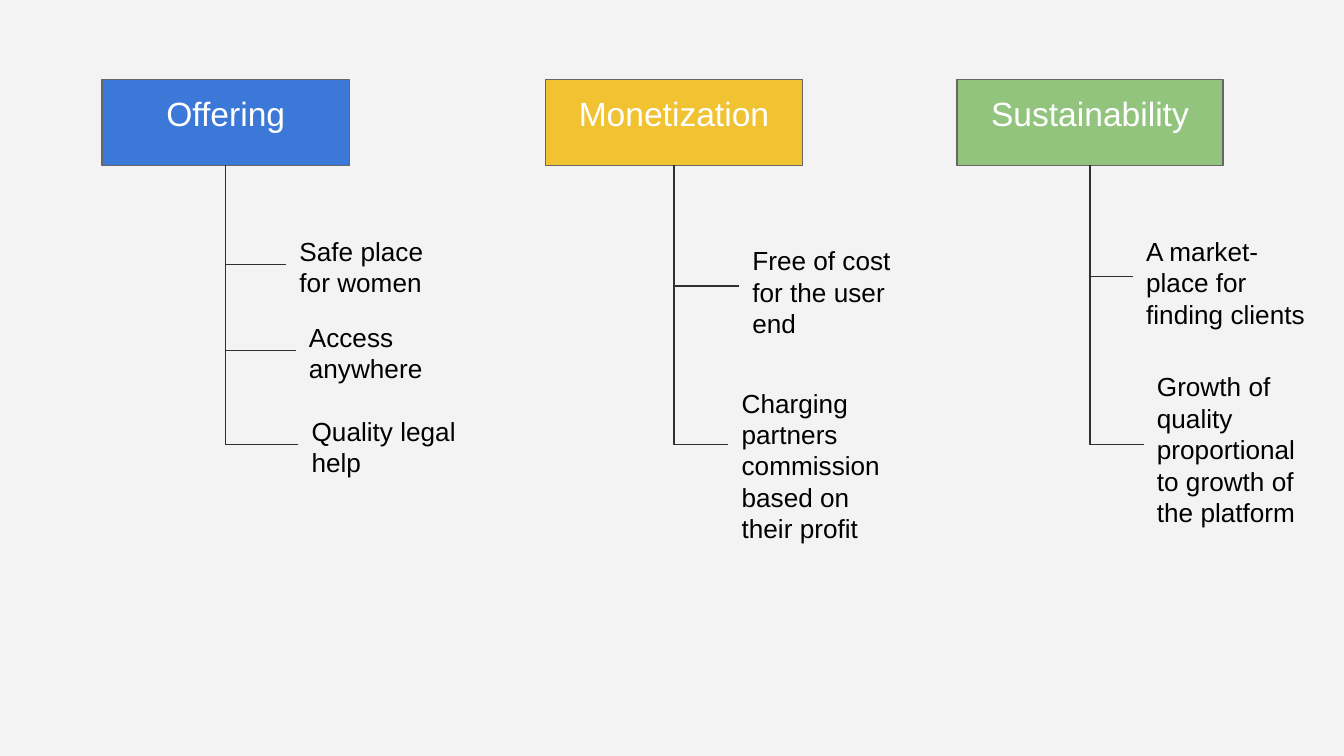
from lxml import etree
from pptx import Presentation
from pptx import util as u
from pptx.dml.color import RGBColor
from pptx.enum import shapes, text
from pptx.oxml.ns import qn

BACKGROUND = RGBColor(0xF3, 0xF3, 0xF3)
BLUE = RGBColor(0x3C, 0x78, 0xD8)
YELLOW = RGBColor(0xF1, 0xC2, 0x32)
GREEN = RGBColor(0x93, 0xC4, 0x7D)
BORDER = RGBColor(0x66, 0x66, 0x66)
BRANCH = RGBColor(0x30, 0x30, 0x30)
WHITE = RGBColor(0xFF, 0xFF, 0xFF)
BLACK = RGBColor(0x00, 0x00, 0x00)

SLIDE_WIDTH = 10
SLIDE_HEIGHT = SLIDE_WIDTH * 9 / 16
HEADER_TOP, HEADER_HEIGHT = 0.59, 0.64
ROW_CENTRES = {"first": 1.97, "tall first": 2.06, "late first": 2.13,
               "second": 2.61, "last": 3.31}

# Header: title, colour, left, width. Items: text, row, left, width, height.
COLUMNS = [
    (("Offering", BLUE, 0.76, 1.84), [
        ("Safe place for women", "first", 2.13, 1.28, 0.64),
        ("Access anywhere", "second", 2.2, 1.43, 0.64),
        ("Quality legal help", "last", 2.22, 1.28, 0.64),
    ]),
    (("Monetization", YELLOW, 4.06, 1.91), [
        ("Free of cost for the user end", "late first", 5.5, 1.43, 0.82),
        ("Charging partners commission based on their profit",
         "last", 5.42, 1.43, 1.06),
    ]),
    (("Sustainability", GREEN, 7.12, 1.98), [
        ("A market- place for finding clients", "tall first", 8.43, 1.43, 0.82),
        ("Growth of quality proportional to growth of the platform",
         "last", 8.51, 1.24, 1.3),
    ]),
]


def write(shape, words, size, colour, alignment):
    frame = shape.text_frame
    frame.word_wrap = True
    frame.vertical_anchor = text.MSO_ANCHOR.TOP
    frame.margin_left = frame.margin_right = u.Inches(0.1)
    frame.margin_top = frame.margin_bottom = u.Inches(0.1)
    paragraph = frame.paragraphs[0]
    paragraph.alignment = alignment
    run = paragraph.add_run()
    run.text = words
    run.font.name = "Arial"
    run.font.size = u.Pt(size)
    run.font.color.rgb = colour


def add_header(slide, title, colour, left, width):
    box = [u.Inches(n) for n in (left, HEADER_TOP, width, HEADER_HEIGHT)]
    header = slide.shapes.add_shape(shapes.MSO_SHAPE.RECTANGLE, *box)
    header.shadow.inherit = False
    header.fill.solid()
    header.fill.fore_color.rgb = colour
    header.line.color.rgb = BORDER
    header.line.width = u.Pt(0.75)
    write(header, title, 18, WHITE, text.PP_ALIGN.CENTER)
    return header


def add_item(slide, words, row, left, width, height):
    top = ROW_CENTRES[row] - height / 2
    box = [u.Inches(n) for n in (left, top, width, height)]
    item = slide.shapes.add_textbox(*box)
    write(item, words, 14, BLACK, text.PP_ALIGN.LEFT)
    return item


def add_branch(slide, item, header):
    """Join an item's left side to the header's bottom with a single bend."""
    branch = slide.shapes.add_connector(shapes.MSO_CONNECTOR.ELBOW, 0, 0, 0, 0)
    branch.begin_connect(item, 1)
    branch.end_connect(header, 2)
    branch.line.color.rgb = BRANCH
    branch.line.width = u.Pt(0.75)
    properties = branch._element.spPr
    properties.find(qn("a:prstGeom")).set("prst", "bentConnector2")
    etree.SubElement(properties, qn("a:effectLst"))


def main():
    presentation = Presentation()
    presentation.slide_width = u.Inches(SLIDE_WIDTH)
    presentation.slide_height = u.Inches(SLIDE_HEIGHT)
    slide = presentation.slides.add_slide(presentation.slide_layouts[6])
    slide.background.fill.solid()
    slide.background.fill.fore_color.rgb = BACKGROUND
    for heading, items in COLUMNS:
        header = add_header(slide, *heading)
        for entry in items:
            add_branch(slide, add_item(slide, *entry), header)
    presentation.save("out.pptx")


if __name__ == "__main__":
    main()
